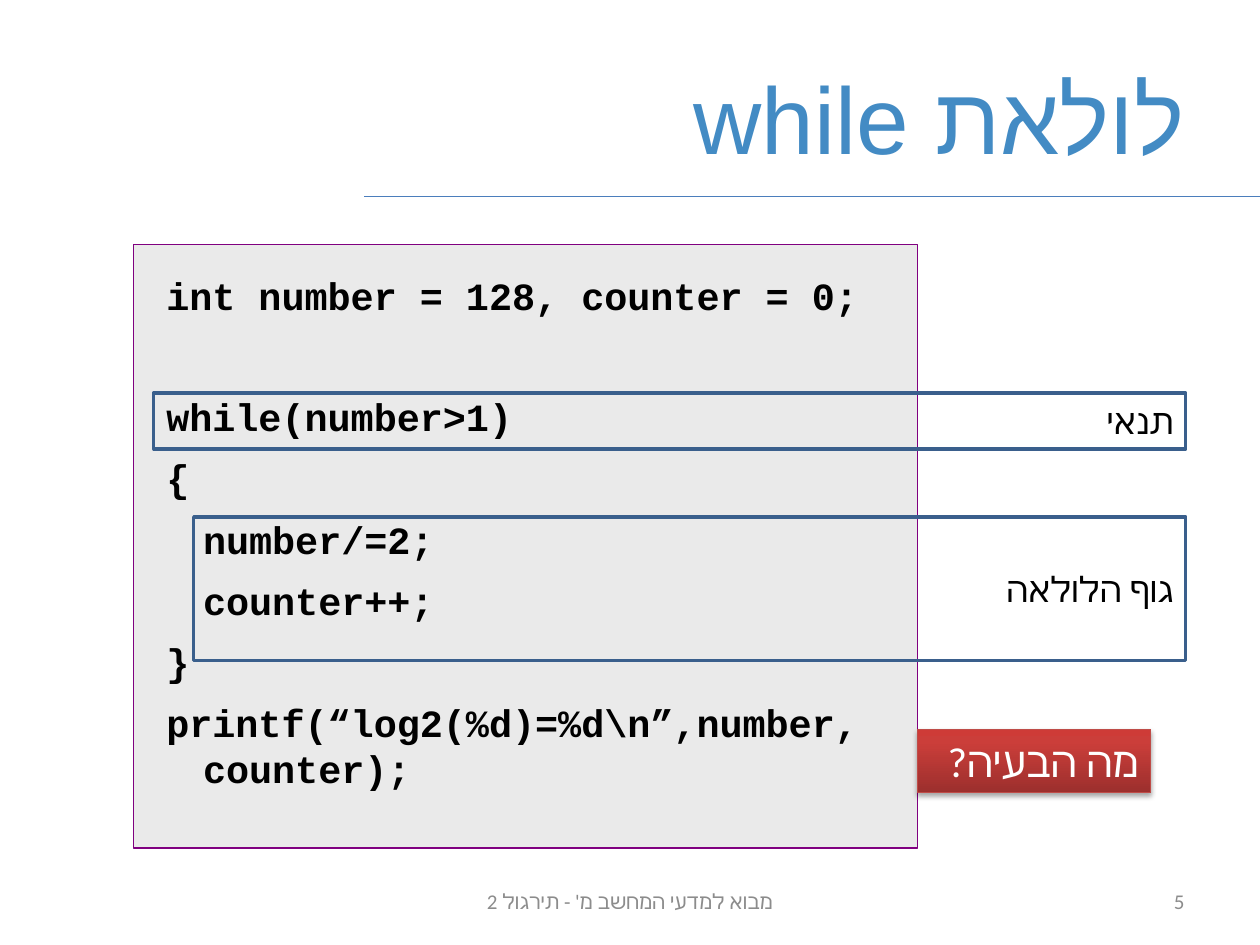
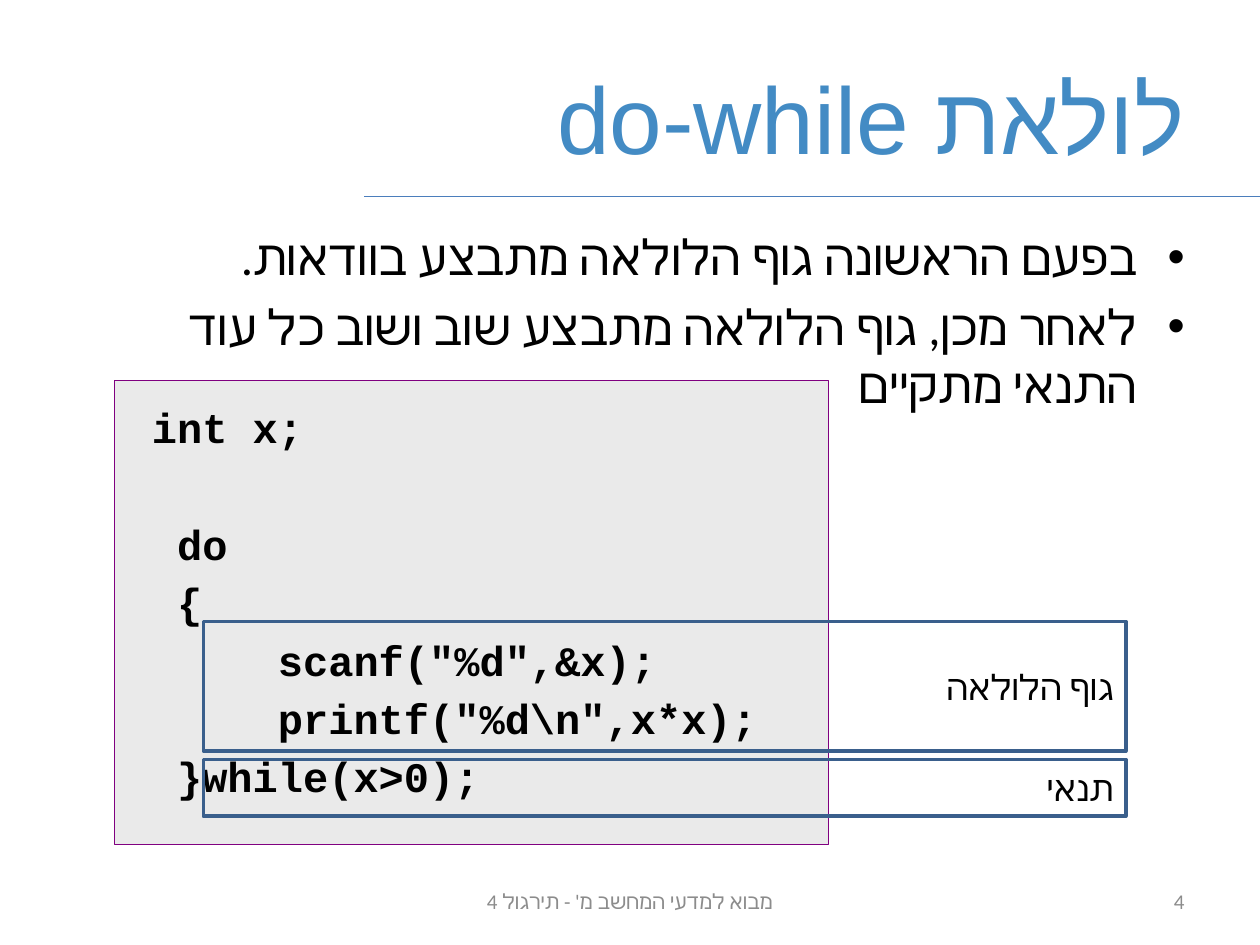
from pptx import Presentation
from pptx.dml.color import RGBColor
from pptx.enum.shapes import MSO_CONNECTOR, MSO_SHAPE
from pptx.enum.text import MSO_ANCHOR as Anchor, PP_ALIGN as Align
from pptx.oxml.ns import qn
from pptx.util import Pt
from lxml.etree import SubElement
from copy import deepcopy

TITLE_BLUE = RGBColor(0x43, 0x8B, 0xC4)
RULE_BLUE = RGBColor(0x4B, 0x7E, 0xBC)
FRAME_BLUE = RGBColor(0x3A, 0x5F, 0x8C)
CODE_GREY = RGBColor(0xEA, 0xEA, 0xEA)
CODE_PURPLE = RGBColor(0x80, 0x00, 0x80)
FOOTER_GREY = RGBColor(0x8C, 0x8C, 0x8C)
BLACK = RGBColor(0, 0, 0)
WHITE = RGBColor(0xFF, 0xFF, 0xFF)
RED_EDGE = RGBColor(0xBF, 0x4C, 0x48)
RED_STOPS = [(0, RGBColor(0x9C, 0x2F, 0x2D)), (0.8, RGBColor(0xCB, 0x3E, 0x3A)),
             (1, RGBColor(0xCE, 0x3B, 0x37))]


def add_box(page, area, fill=None, edge=None, weight=0.75):
    """Add a rectangle, or a text box when it has neither fill nor edge."""
    lengths = [Pt(length) for length in area]
    if fill is None and edge is None:
        return page.shapes.add_textbox(*lengths)
    box = page.shapes.add_shape(MSO_SHAPE.RECTANGLE, *lengths)
    box.shadow.inherit = False
    if fill is None:
        box.fill.background()
    else:
        box.fill.solid()
        box.fill.fore_color.rgb = fill
    box.line.color.rgb = edge
    box.line.width = Pt(weight)
    return box


def write(box, text, size, color, align=Align.RIGHT, font="Calibri",
          anchor=Anchor.MIDDLE, code=False, bullet=False):
    """Fill a box with Hebrew, or with bold left-to-right code."""
    frame = box.text_frame
    frame.word_wrap = True
    frame.vertical_anchor = anchor
    frame.text = text
    for para in frame.paragraphs:
        para.alignment = Align.LEFT if code else align
        props = para._p.get_or_add_pPr()
        props.set("rtl", "0" if code else "1")
        if bullet:
            props.set("marL", str(Pt(27)))
            props.set("indent", str(-Pt(27)))
            SubElement(props, qn("a:buFont"), typeface="Arial")
            SubElement(props, qn("a:buChar"), char="•")
        for span in para.runs:
            span.font.size = Pt(size)
            span.font.bold = code
            span.font.name = font
            span.font.color.rgb = color
            SubElement(span._r.get_or_add_rPr(), qn("a:cs"), typeface=font)
    return frame


deck = Presentation()
deck.slide_width, deck.slide_height = Pt(720), Pt(540)

# Shared title, rule, footer and number
pages = []
for title, lesson, number in [("לולאת while", 2, 5), ("לולאת do-while", 4, 4)]:
    page = deck.slides.add_slide(deck.slide_layouts[6])
    pages.append(page)
    rule = page.shapes.add_connector(MSO_CONNECTOR.STRAIGHT,
                                     Pt(720), Pt(112.5), Pt(208), Pt(112.5))
    rule.line.color.rgb = RULE_BLUE
    rule.line.width = Pt(0.75)
    SubElement(rule._element.spPr, qn("a:effectLst"))
    write(add_box(page, (36, 21.6, 648, 90)), title, 54, TITLE_BLUE, font="Arial")
    write(add_box(page, (246, 500.5, 228, 28.75)),
          f"מבוא למדעי המחשב מ' - תירגול {lesson}", 12, FOOTER_GREY, Align.CENTER)
    write(add_box(page, (516, 500.5, 168, 28.75)), str(number), 12, FOOTER_GREY)
while_page, do_page = pages

# while: code panel
WHILE_CODE = """int number = 128, counter = 0;
while(number>1)
{
\tnumber/=2;
\tcounter++;
}
printf(“log2(%d)=%d\\n”,number, counter);"""
panel = add_box(while_page, (76.3, 139.7, 447.9, 344.9), CODE_GREY, CODE_PURPLE)
frame = write(panel, WHILE_CODE, 22, BLACK, font="Courier New",
              anchor=Anchor.TOP, code=True)
frame.margin_left = frame.margin_right = Pt(18.7)
frame.margin_top, frame.margin_bottom = Pt(16), Pt(15)
for row, para in enumerate(frame.paragraphs):
    para._p.pPr.set("marL", str(Pt(21)))
    para._p.pPr.set("indent", str(-Pt(21)))
    if row:
        para.space_before = Pt(42.6 if row == 1 else 8.6)

# do-while: code panel, rules of the loop, code
add_box(do_page, (65.3, 217.4, 408.2, 265), CODE_GREY, CODE_PURPLE)
LOOP_RULES = """בפעם הראשונה גוף הלולאה מתבצע בוודאות.
לאחר מכן, גוף הלולאה מתבצע שוב ושוב כל עוד התנאי מתקיים"""
frame = write(add_box(do_page, (36, 126, 648, 356.4)), LOOP_RULES, 28, BLACK,
              anchor=Anchor.TOP, bullet=True)
frame.paragraphs[1].space_before = Pt(6)

DO_CODE = """ int x;
  do
  {
      scanf("%d",&x);
      printf("%d\\n",x*x);
  }while(x>0);"""
frame = write(add_box(do_page, (65.3, 224.6, 450.7, 245.5)), DO_CODE, 24, BLACK,
              font="Courier New", anchor=Anchor.TOP, code=True)
frame.margin_top = Pt(4.8)
for row, para in enumerate(frame.paragraphs):
    if row:
        para.space_before = Pt(38 if row == 1 else 4.4)

# Frames that mark the condition and the loop body
for page, label, area in [
        (while_page, "גוף הלולאה", (110.7, 295.4, 566.9, 82.2)),
        (while_page, "תנאי", (87.8, 224.6, 589.8, 31.9)),
        (do_page, "תנאי", (116.2, 434, 527.2, 32.4)),
        (do_page, "גוף הלולאה", (116.2, 355.2, 527.2, 74))]:
    write(add_box(page, area, edge=FRAME_BLUE, weight=2), label, 20, BLACK,
          Align.JUSTIFY)

# while: red question with gradient and soft shadow
question = add_box(while_page, (524.4, 416.7, 133.2, 36.4), WHITE, RED_EDGE)
write(question, "מה הבעיה?", 24, WHITE, anchor=Anchor.TOP)
question.fill.gradient()
question.fill.gradient_angle = 90
properties = question._element.spPr
stop_list = properties.find(qn("a:gradFill")).find(qn("a:gsLst"))
stop_list.append(deepcopy(stop_list[-1]))
for stop, (position, color) in zip(question.fill.gradient_stops, RED_STOPS):
    stop.position = position
    stop.color.rgb = color
shadow = SubElement(properties.find(qn("a:effectLst")), qn("a:outerShdw"),
                    blurRad=str(Pt(3.1)), dist=str(Pt(1.8)), dir="5400000",
                    rotWithShape="0")
shade = SubElement(shadow, qn("a:srgbClr"), val="000000")
SubElement(shade, qn("a:alpha"), val="35000")

deck.save("out.pptx")
